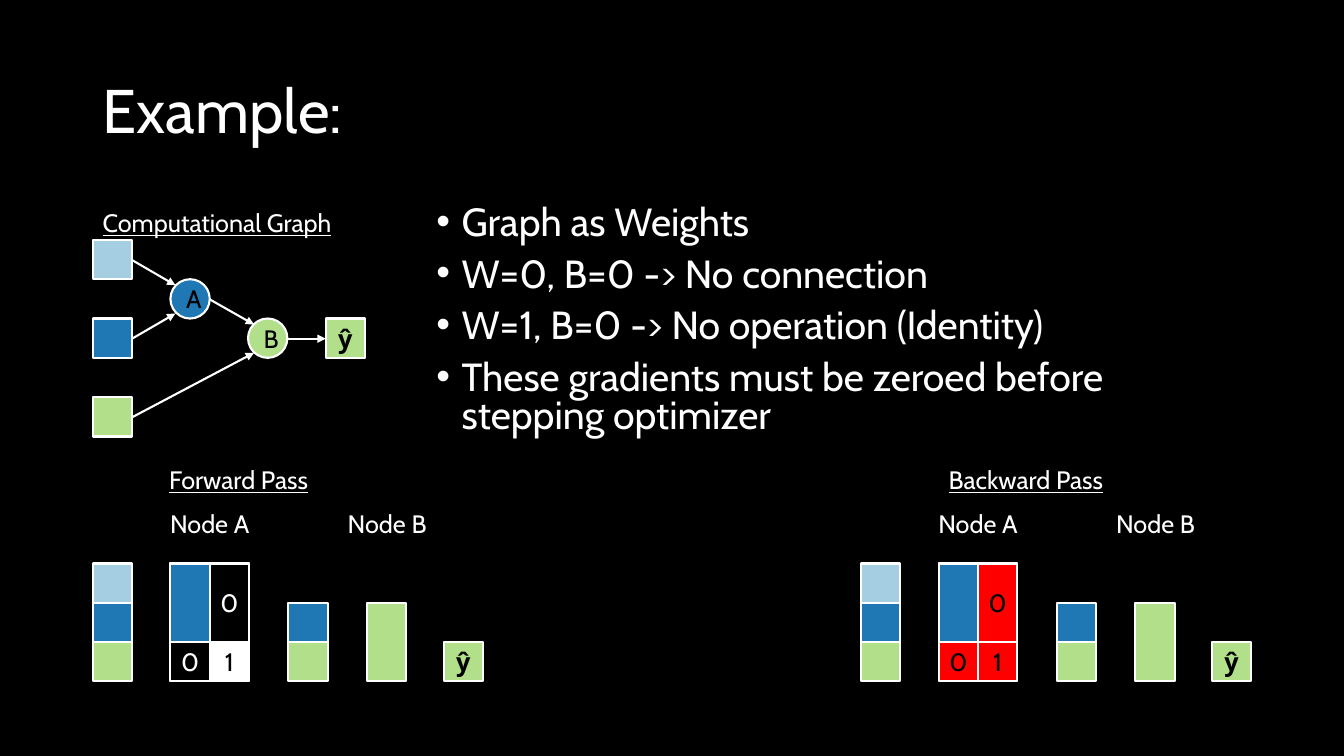
"""Build a slide showing a computational graph as forward and backward weight blocks."""
from dataclasses import dataclass

from lxml import etree
from pptx import Presentation
from pptx import util as u
from pptx.dml.color import RGBColor
from pptx.enum import shapes, text
from pptx.oxml.ns import qn


@dataclass(frozen=True)
class Theme:
    font: str = "Cabin"
    black: str = "000000"
    white: str = "FFFFFF"
    pale_blue: str = "A6CEE3"
    blue: str = "1F78B4"
    green: str = "B2DF8A"
    red: str = "FF0000"
    title_size: int = 44
    body_size: int = 28
    label_size: int = 18
    line_width: float = 1.5


theme = Theme()
CELL = 0.39
RECT = shapes.MSO_SHAPE.RECTANGLE
OVAL = shapes.MSO_SHAPE.OVAL
LEFT, CENTER = text.PP_ALIGN.LEFT, text.PP_ALIGN.CENTER


def write(shape, words, size, color=theme.white, align=LEFT, bold=False, underline=False):
    """Fill a shape with text and format every run."""
    shape.text_frame.text = words
    shape.text_frame.word_wrap = True
    for paragraph in shape.text_frame.paragraphs:
        paragraph.alignment = align
        for run in paragraph.runs:
            run.font.name = theme.font
            run.font.size = u.Pt(size)
            run.font.bold = bold
            run.font.underline = underline
            run.font.color.rgb = RGBColor.from_string(color)


def add_block(left, top, fill, width=CELL, height=CELL, kind=RECT, words="",
              color=theme.black, bold=False):
    """Add a white-edged block, optionally filled and labelled."""
    block = slide.shapes.add_shape(
        kind, u.Inches(left), u.Inches(top), u.Inches(width), u.Inches(height))
    block.shadow.inherit = False
    if fill:
        block.fill.solid()
        block.fill.fore_color.rgb = RGBColor.from_string(fill)
    else:
        block.fill.background()
    block.line.color.rgb = RGBColor.from_string(theme.white)
    block.line.width = u.Pt(theme.line_width)
    if words:
        write(block, words, theme.label_size, color, CENTER, bold)
        block.text_frame.vertical_anchor = text.MSO_ANCHOR.MIDDLE


presentation = Presentation()
presentation.slide_width = u.Inches(13.33)
presentation.slide_height = u.Inches(7.5)
slide = presentation.slides.add_slide(presentation.slide_layouts[5])
slide.background.fill.solid()
slide.background.fill.fore_color.rgb = RGBColor.from_string(theme.black)

title = slide.shapes.title
title.left, title.top = u.Inches(0.92), u.Inches(0.4)
title.width, title.height = u.Inches(11.5), u.Inches(1.45)
write(title, "Example:", theme.title_size)
title.text_frame.auto_size = text.MSO_AUTO_SIZE.NONE
title.text_frame.vertical_anchor = text.MSO_ANCHOR.MIDDLE
title.text_frame.paragraphs[0].line_spacing = 0.9

notes = [
    "Graph as Weights",
    "W=0, B=0 -> No connection",
    "W=1, B=0 -> No operation (Identity)",
    "These gradients must be zeroed before stepping optimizer",
]
body = slide.shapes.add_textbox(u.Inches(4.23), u.Inches(2), u.Inches(8.19), u.Inches(2.6))
write(body, "\n".join(notes), theme.body_size)
for index, paragraph in enumerate(body.text_frame.paragraphs):
    paragraph.line_spacing = 0.8
    paragraph.space_before = u.Pt(10 if index else 0)
    properties = paragraph._p.get_or_add_pPr()
    properties.set("marL", str(u.Inches(0.25)))
    properties.set("indent", str(-u.Inches(0.25)))
    etree.SubElement(properties, qn("a:buFont")).set("typeface", "Arial")
    etree.SubElement(properties, qn("a:buChar")).set("char", "•")

input_colors = [theme.pale_blue, theme.blue, theme.green]
for row, fill in enumerate(input_colors):
    add_block(0.92, 2.38 + 2 * CELL * row, fill)
add_block(1.69, 2.77, theme.blue, kind=OVAL, words="A")
add_block(2.46, 3.16, theme.green, kind=OVAL, words="B")
add_block(3.23, 3.16, theme.green, words="ŷ", bold=True)

arrows = [
    (1.31, 2.58, 1.74, 2.83),
    (1.31, 3.36, 1.74, 3.11),
    (1.31, 4.14, 2.52, 3.5),
    (2.08, 2.97, 2.52, 3.22),
    (2.85, 3.36, 3.23, 3.36),
]
for ends in arrows:
    arrow = slide.shapes.add_connector(
        shapes.MSO_CONNECTOR.STRAIGHT, *[u.Inches(end) for end in ends])
    arrow.line.color.rgb = RGBColor.from_string(theme.white)
    arrow.line.width = u.Pt(theme.line_width)
    etree.SubElement(arrow.line._get_or_add_ln(), qn("a:tailEnd")).set("type", "triangle")
    etree.SubElement(arrow._element.spPr, qn("a:effectLst"))

passes = [
    (0.92, theme.black, theme.white, theme.white),
    (8.54, theme.red, theme.red, theme.black),
]
top = 5.59
middle, bottom = top + CELL, top + 2 * CELL
for left, zero_fill, one_fill, zero_color in passes:
    node_a, hidden = left + 0.77, left + 1.94
    for row, fill in enumerate(input_colors):
        add_block(left, top + CELL * row, fill)
    add_block(node_a, top, None, 2 * CELL, 3 * CELL)
    add_block(left + 2.72, middle, theme.green, height=2 * CELL)
    add_block(hidden, bottom, theme.green)
    add_block(hidden, middle, theme.blue)
    add_block(left + 3.48, bottom, theme.green, words="ŷ", bold=True)
    add_block(node_a + CELL, bottom, one_fill, words="1")
    add_block(node_a, bottom, zero_fill, words="0", color=zero_color)
    add_block(node_a, top, theme.blue, height=2 * CELL)
    add_block(node_a + CELL, top, zero_fill, height=2 * CELL, words="0", color=zero_color)
    for name, offset in [("Node A", 0.59), ("Node B", 2.35)]:
        label = slide.shapes.add_textbox(
            u.Inches(left + offset), u.Inches(4.99), u.Inches(1.14), u.Inches(0.46))
        write(label, name, theme.label_size, align=CENTER)

headings = [
    ("Computational Graph", 0.92, 2.01, 2.92),
    ("Forward Pass", 1.58, 4.56, 1.85),
    ("Backward Pass", 9.31, 4.56, 2.18),
]
for words, left, top, width in headings:
    heading = slide.shapes.add_textbox(
        u.Inches(left), u.Inches(top), u.Inches(width), u.Inches(0.4))
    write(heading, words, theme.label_size, underline=True)

presentation.save("out.pptx")
